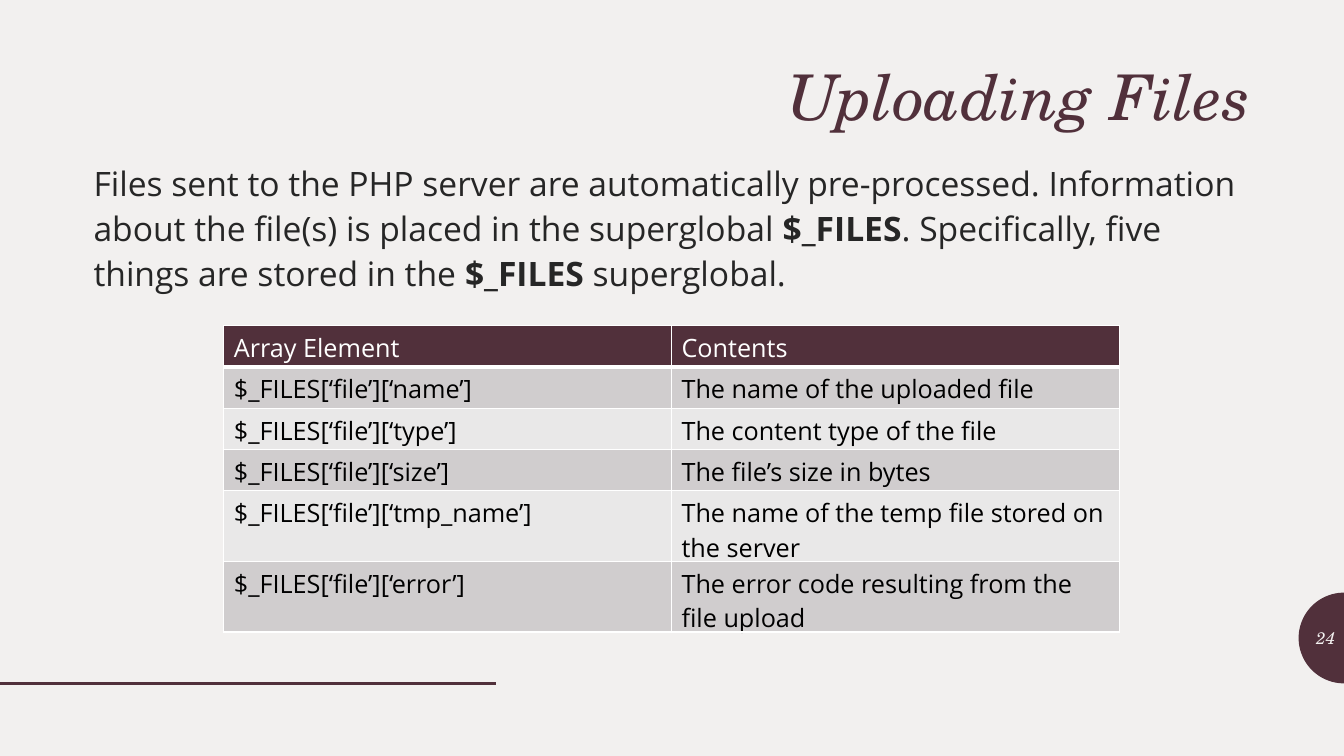
import math
from dataclasses import dataclass

from lxml import etree
from pptx import Presentation
from pptx.dml.color import RGBColor
from pptx.enum import shapes, text
from pptx.oxml import ns
from pptx.util import Inches, Pt

PLUM, PAPER, INK = "51303B", "F2F0EF", "262626"
WHITE, BLACK = "FFFFFF", "000000"
BANDS = ("D0CDCE", "E9E8E8")
SANS, SERIF = "Open Sans", "TeX Gyre Schola"


@dataclass
class Run:
    text: str
    bold: bool = False


@dataclass
class FileEntry:
    element: str
    contents: str


INTRO = [
    Run("Files sent to the PHP server are automatically pre-processed. "
        "Information about the file(s) is placed in the superglobal "),
    Run("$_FILES", bold=True),
    Run(". Specifically, five things are stored in the "),
    Run("$_FILES ", bold=True),
    Run("superglobal."),
]
ENTRIES = [
    FileEntry("Array Element", "Contents"),
    FileEntry("$_FILES[‘file’][‘name’]", "The name of the uploaded file"),
    FileEntry("$_FILES[‘file’][‘type’]", "The content type of the file"),
    FileEntry("$_FILES[‘file’][‘size’]", "The file’s size in bytes"),
    FileEntry("$_FILES[‘file’][‘tmp_name’]", "The name of the temp file stored on the server"),
    FileEntry("$_FILES[‘file’][‘error’]", "The error code resulting from the file upload"),
]


def paint(fill, color: str) -> None:
    fill.solid()
    fill.fore_color.rgb = RGBColor.from_string(color)


def write(frame, runs: list[Run], *, size: float, color: str, font: str = SANS,
          italic: bool = False, align=text.PP_ALIGN.LEFT, anchor=text.MSO_ANCHOR.TOP,
          spacing: float = 1.0, before: float = 0) -> None:
    frame.word_wrap = True
    frame.vertical_anchor = anchor
    paragraph = frame.paragraphs[0]
    paragraph.alignment = align
    paragraph.line_spacing = spacing
    paragraph.space_before = Pt(before)
    for part in runs:
        run = paragraph.add_run()
        run.text = part.text
        run.font.name, run.font.size = font, Pt(size)
        run.font.bold, run.font.italic = part.bold, italic
        run.font.color.rgb = RGBColor.from_string(color)


def add_borders(cell, bottom: float) -> None:
    properties = cell._tc.get_or_add_tcPr()
    widths = {"lnL": 1, "lnR": 1, "lnT": 1, "lnB": bottom}
    for position, (side, width) in enumerate(widths.items()):
        border = etree.Element(ns.qn(f"a:{side}"), w=str(Pt(width)))
        fill = etree.SubElement(border, ns.qn("a:solidFill"))
        etree.SubElement(fill, ns.qn("a:srgbClr"), val=WHITE)
        properties.insert(position, border)


def add_page_badge(slide, page: str) -> None:
    center_x, center_y, radius, steps = 13.33, 6.33, 0.45, 48
    angles = [math.pi * (0.5 + step / steps) for step in range(steps + 1)]
    arc = [(Inches(center_x + radius * math.cos(a)), Inches(center_y - radius * math.sin(a)))
           for a in angles]
    builder = slide.shapes.build_freeform(*arc[0])
    builder.add_line_segments(arc[1:], close=True)
    badge = builder.convert_to_shape()
    badge.shadow.inherit = False
    paint(badge.fill, PLUM)
    badge.line.fill.background()

    number = slide.shapes.add_textbox(Inches(12.89), Inches(6.13), Inches(0.45), Inches(0.4))
    write(number.text_frame, [Run(page)], size=12, color=PAPER, font=SERIF, italic=True,
          align=text.PP_ALIGN.RIGHT, anchor=text.MSO_ANCHOR.MIDDLE)


def add_footer_rule(slide) -> None:
    rule = slide.shapes.add_connector(shapes.MSO_CONNECTOR.STRAIGHT,
                                      0, Inches(6.78), Inches(4.92), Inches(6.78))
    paint(rule.line.fill, PLUM)
    rule.line.width = Pt(2)
    etree.SubElement(rule._element.spPr, ns.qn("a:effectLst"))


def add_entries_table(slide) -> None:
    row_height = 0.41
    frame = slide.shapes.add_table(len(ENTRIES), 2, Inches(2.22), Inches(3.23),
                                   Inches(8.88), Inches(row_height * len(ENTRIES)))
    table = frame.table
    for row, entry in enumerate(ENTRIES):
        header = row == 0
        table.rows[row].height = Inches(row_height)
        for column, wording in enumerate((entry.element, entry.contents)):
            cell = table.cell(row, column)
            paint(cell.fill, PLUM if header else BANDS[(row - 1) % 2])
            add_borders(cell, bottom=3 if header else 1)
            write(cell.text_frame, [Run(wording)], size=18, color=WHITE if header else BLACK)


def main() -> None:
    deck = Presentation()
    deck.slide_width, deck.slide_height = Inches(13.33), Inches(7.5)
    slide = deck.slides.add_slide(deck.slide_layouts[5])
    paint(slide.background.fill, PAPER)

    # Title
    title = slide.shapes.title
    title.left, title.top = Inches(0.83), Inches(0.61)
    title.width, title.height = Inches(11.67), Inches(0.76)
    title.text_frame.auto_size = text.MSO_AUTO_SIZE.NONE
    write(title.text_frame, [Run("Uploading Files")], size=45, color=PLUM, font=SERIF,
          italic=True, align=text.PP_ALIGN.RIGHT, spacing=0.9)

    # Introduction
    intro = slide.shapes.add_textbox(Inches(0.83), Inches(1.52), Inches(11.67), Inches(5.14))
    write(intro.text_frame, INTRO, size=24, color=INK, spacing=1.12, before=9)

    # Table and page furniture
    add_entries_table(slide)
    add_footer_rule(slide)
    add_page_badge(slide, "24")
    deck.save("out.pptx")


if __name__ == "__main__":
    main()
